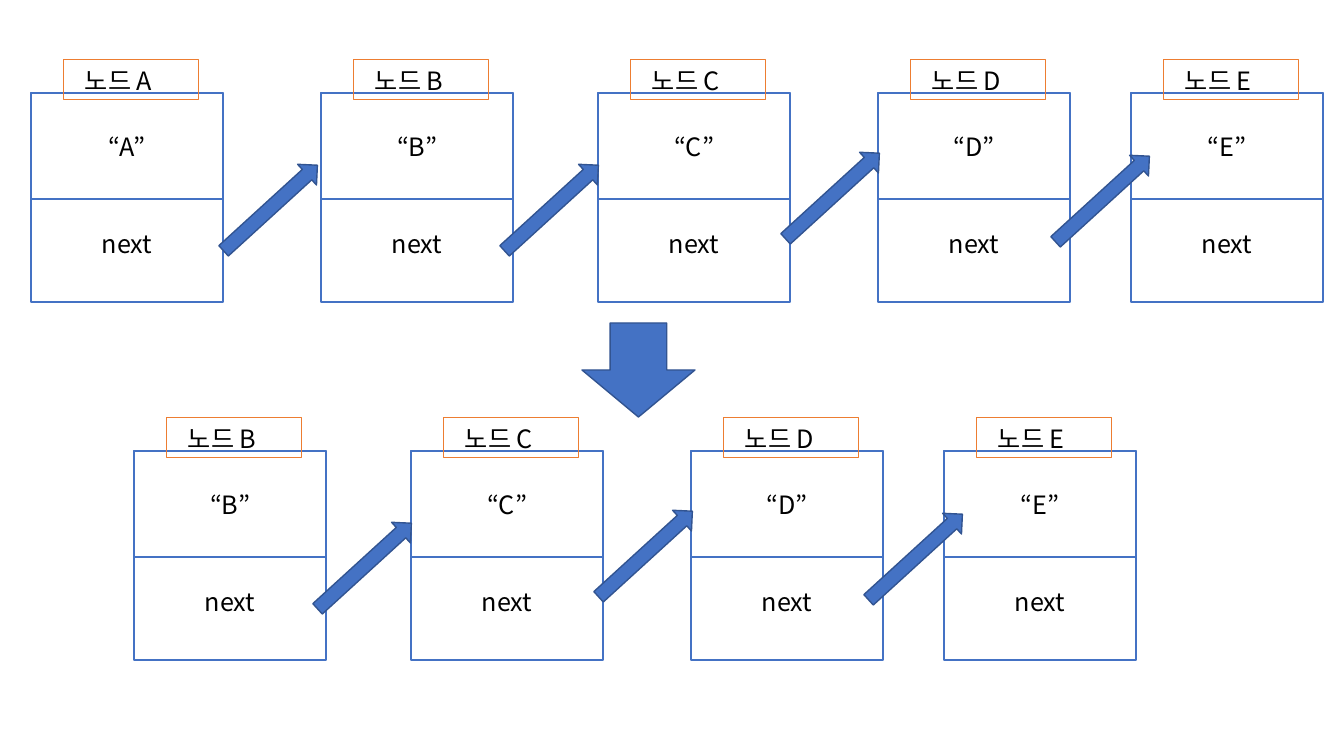
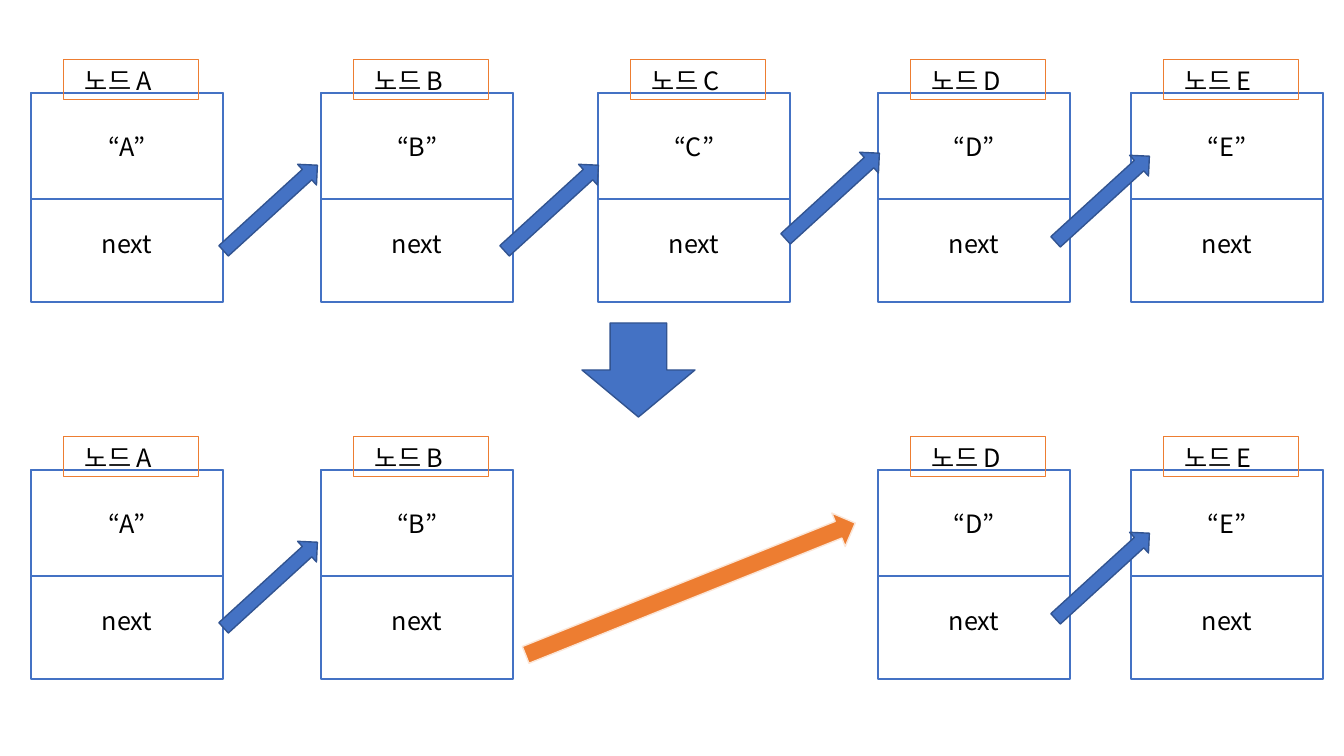
from pptx import Presentation
from pptx import util as u
from pptx.dml.color import RGBColor
from pptx.enum import shapes, text
from pptx.oxml.ns import qn

# Shared style
SCALE = 914400 / 100.8
FONT = "Noto Sans CJK KR"
WHITE, BLACK, BLUE, NAVY = "FFFFFF", "000000", "4472C4", "325491"
ORANGE, PEACH = "ED7D31", "FBE5D6"
GEOM = shapes.MSO_SHAPE

# Node columns, and the next-arrow that leaves each node
NODE_X = {"A": 31, "B": 321, "C": 598, "D": 878, "E": 1131}
LINK_AT = {"A": (207, 194), "B": (488, 194), "C": (769, 182), "D": (1039, 185)}
NODE_TOP, NODE_W, NODE_H, DATA_H = 93, 192, 209, 106


def px(n):
    return u.Emu(round(n * SCALE))


def rgb(value):
    return RGBColor.from_string(value)


def add_box(s, kind, x, y, w, h, fill=None, line=BLUE, weight=1, turn=0):
    sp = s.shapes.add_shape(kind, px(x), px(y), px(w), px(h))
    sp.shadow.inherit = False
    if fill:
        sp.fill.solid()
        sp.fill.fore_color.rgb = rgb(fill)
    else:
        sp.fill.background()
    sp.line.color.rgb = rgb(line)
    sp.line.width = u.Pt(weight)
    sp.rotation = turn
    return sp


def write(sp, words, size=18, color=BLACK, align=text.PP_ALIGN.CENTER,
          anchor=text.MSO_ANCHOR.MIDDLE, left=10, top=5):
    tf = sp.text_frame
    tf.word_wrap = True
    tf.vertical_anchor = anchor
    tf.margin_left, tf.margin_top = px(left), px(top)
    p = tf.paragraphs[0]
    p.alignment = align
    r = p.add_run()
    r.text = words
    r.font.size = u.Pt(size)
    r.font.name = FONT
    r.font.color.rgb = rgb(color)
    # Hangul takes the East Asian typeface
    east_asian = r.font._element.makeelement(qn("a:ea"), {"typeface": FONT})
    r.font._element.find(qn("a:latin")).addnext(east_asian)


def add_node(s, name, x, y):
    cell = GEOM.FLOWCHART_PROCESS
    # The top inset keeps "next" in the lower half
    write(add_box(s, cell, x, y, NODE_W, NODE_H, WHITE), "next", top=97)
    write(add_box(s, cell, x, y, NODE_W, DATA_H, WHITE), f"“{name}”")
    label = add_box(s, GEOM.RECTANGLE, x + 33, y - 33, 135, 40,
                    line=ORANGE, weight=0.75)
    write(label, f"노드 {name}", align=text.PP_ALIGN.LEFT,
          anchor=text.MSO_ANCHOR.TOP, left=21)


def add_list(s, nodes, links, dx=0, dy=0):
    for name in nodes:
        add_node(s, name, NODE_X[name] + dx, NODE_TOP + dy)
    for name in links:
        x, y = LINK_AT[name]
        add_box(s, GEOM.RIGHT_ARROW, x + dx, y + dy, 127, 28,
                BLUE, NAVY, turn=317.6)


def add_list_slide(prs):
    """Slide with the full list on top and the arrow to its result."""
    s = prs.slides.add_slide(prs.slide_layouts[6])
    add_list(s, "ABCDE", "ABCD")
    add_box(s, GEOM.DOWN_ARROW, 582, 323, 113, 94, BLUE, NAVY)
    return s


def main():
    prs = Presentation()
    prs.slide_width, prs.slide_height = px(1344), px(756)

    # First node removed
    s = add_list_slide(prs)
    add_list(s, "BCDE", "BCD", dx=-187, dy=358)

    # Middle node removed, B linked on to D
    s = add_list_slide(prs)
    add_list(s, "ABDE", "AD", dy=377)
    add_box(s, GEOM.RIGHT_ARROW, 513, 571, 355, 36, ORANGE, PEACH, turn=338.2)

    prs.save("out.pptx")


main()
